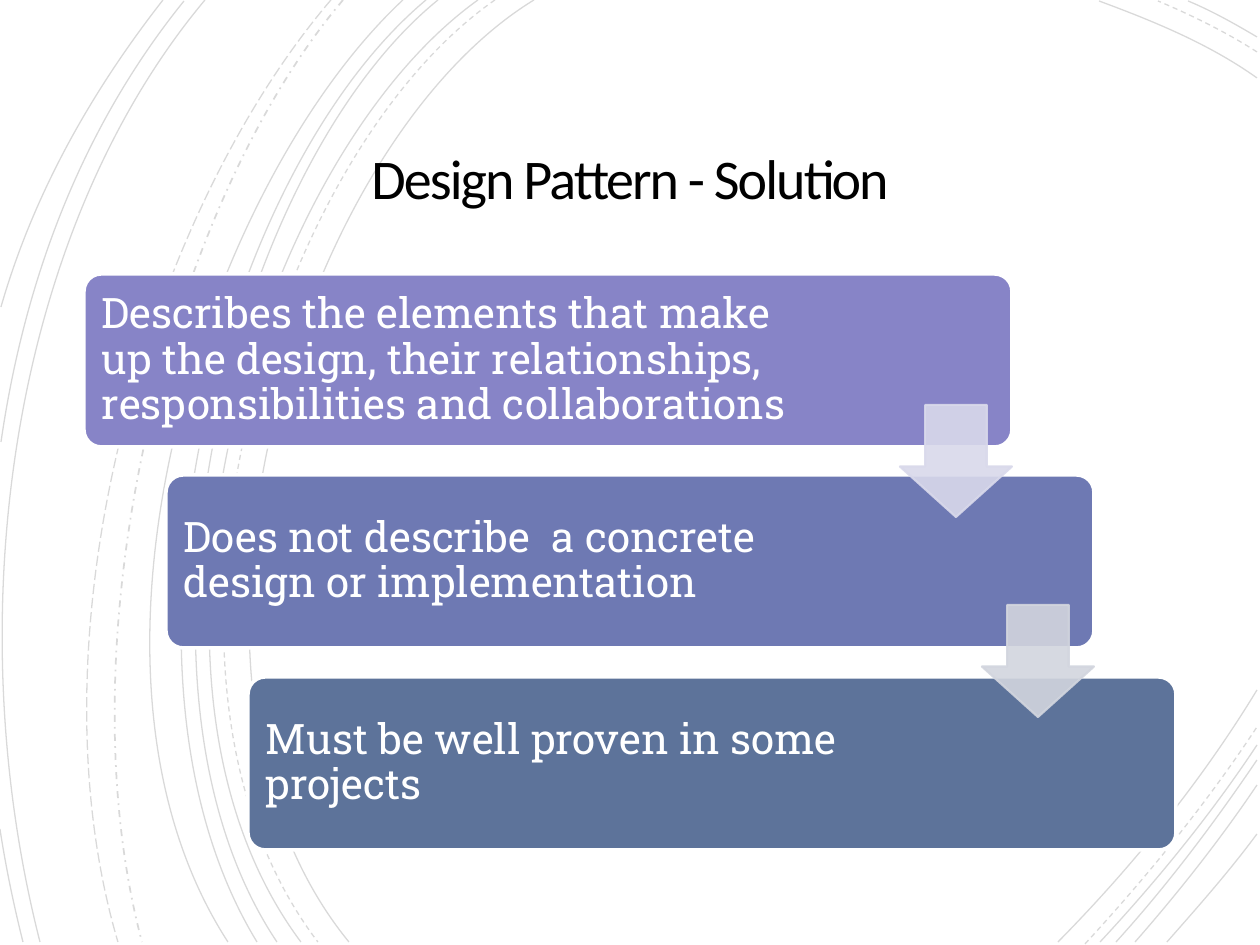
"""Build the "Design Pattern - Solution" slide: a three-step cascade over arcs."""
from lxml.etree import SubElement
from pptx import Presentation
from pptx.dml.color import RGBColor
from pptx.enum.dml import MSO_LINE_DASH_STYLE as Dash
from pptx.enum.shapes import MSO_SHAPE as Shape
from pptx.enum.text import MSO_ANCHOR as Anchor, PP_ALIGN as Align
from pptx.oxml.ns import qn
from pptx.util import Pt

PX = 914400 / 126
PAGE_WIDTH, PAGE_HEIGHT = 1260, 945
BLACK = RGBColor(0x00, 0x00, 0x00)
WHITE = RGBColor(0xFF, 0xFF, 0xFF)
VIOLET = RGBColor(0x87, 0x84, 0xC7)
INDIGO = RGBColor(0x6E, 0x79, 0xB3)
STEEL = RGBColor(0x5D, 0x73, 0x9A)
LILAC = RGBColor(0xD9, 0xD9, 0xEB)
MIST = RGBColor(0xD2, 0xD5, 0xDE)

TITLE = "Design Pattern - Solution"
STEPS = [
    ("Describes the elements that make up the design, their relationships, "
     "responsibilities and collaborations", VIOLET, 743),
    ("Does not describe  a concrete design or implementation", INDIGO, 725),
    ("Must be well proven in some projects", STEEL, 725),
]
ARROW_COLORS = [LILAC, MIST]

STEP_LEFT, STEP_TOP, STEP_WIDTH, STEP_HEIGHT = 84, 274, 928, 173
SHIFT_X, TWO_SHIFTS_Y = 82, 403
TEXT_MARGIN = 5
ARROW_LEFT, ARROW_TOP, ARROW_SIZE, ARROW_SHIFT_Y = 900, 405, 112, 200

ARCS = [
    (Dash.SOLID, 0.75, [(534, 0), (297, 145), (135, 680), (349, 942)]),
    (Dash.SOLID, 0.75, [(1257, 78), (1208, 43), (1150, 20), (1099, 1)]),
    (Dash.SOLID, 0.75, [(1058, 942), (1130, 869), (1200, 784), (1257, 690)]),
    (Dash.DASH, 0.75, [(495, 0), (268, 158), (116, 677), (318, 942)]),
    (Dash.DASH, 0.75, [(1257, 52), (1226, 32), (1191, 15), (1158, 1)]),
    (Dash.DASH, 0.75, [(1085, 944), (1145, 879), (1205, 806), (1257, 727)]),
    (Dash.SOLID, 0.75, [(478, 0), (255, 160), (103, 677), (301, 942)]),
    (Dash.SOLID, 0.75, [(1257, 37), (1235, 24), (1212, 11), (1188, 1)]),
    (Dash.SOLID, 0.75, [(1100, 942), (1155, 883), (1210, 816), (1257, 745)]),
    (Dash.SOLID, 0.75, [(438, 0), (231, 168), (103, 682), (277, 942)]),
    (Dash.SOLID, 0.75, [(1116, 942), (1166, 887), (1213, 825), (1257, 760)]),
    (Dash.SOLID, 0.75, [(426, 0), (218, 174), (92, 672), (257, 942)]),
    (Dash.SOLID, 0.75, [(1135, 942), (1178, 893), (1220, 840), (1257, 785)]),
    (Dash.SOLID, 0.75, [(403, 0), (205, 185), (50, 667), (228, 942)]),
    (Dash.SOLID, 0.75, [(1167, 942), (1197, 908), (1229, 872), (1257, 834)]),
    (Dash.DASH_DOT, 1, [(343, 0), (166, 209), (62, 641), (142, 942)]),
    (Dash.LONG_DASH, 0.75, [(331, 0), (149, 213), (26, 629), (118, 942)]),
    (Dash.SOLID, 0.75, [(205, 0), (10, 233), (-43, 617), (40, 942)]),
    (Dash.SOLID, 0.75, [(184, 1), (87, 121), (26, 270), (1, 442)]),
    (Dash.SOLID, 0.75, [(0, 829), (6, 868), (14, 906), (23, 942)]),
    (Dash.SOLID, 0.75, [(163, 0), (95, 87), (35, 189), (1, 307)]),
]


def emu(*lengths):
    return [round(length * PX) for length in lengths]


def set_alpha(shape, percent):
    for color in shape.element.spPr.iter(qn("a:srgbClr")):
        SubElement(color, qn("a:alpha")).set("val", str(percent * 1000))


def bend(shape):
    lines = list(shape.element.spPr.iter(qn("a:lnTo")))
    curve = SubElement(lines[0].getparent(), qn("a:cubicBezTo"))
    for line in lines:
        curve.append(line[0])
        line.getparent().remove(line)


def add_arc(page, dash, width, points):
    start, *rest = [emu(*point) for point in points]
    builder = page.shapes.build_freeform(*start)
    builder.add_line_segments(rest, close=False)
    arc = builder.convert_to_shape()
    bend(arc)
    arc.shadow.inherit = False
    arc.fill.background()
    arc.line.color.rgb = BLACK
    arc.line.width = Pt(width)
    arc.line.dash_style = dash
    set_alpha(arc, 15)


def add_block(page, kind, place, fill, line=None, width=0, adjustments=()):
    block = page.shapes.add_shape(kind, *emu(*place))
    block.shadow.inherit = False
    block.fill.solid()
    block.fill.fore_color.rgb = fill
    if line is None:
        block.line.fill.background()
    else:
        block.line.color.rgb = line
        block.line.width = Pt(width)
    for index, value in enumerate(adjustments):
        block.adjustments[index] = value
    return block


def add_text(page, text, place, *, font, size, color, inset, leading,
             align=Align.LEFT, tracking=None):
    box = page.shapes.add_textbox(*emu(*place))
    frame = box.text_frame
    frame.word_wrap = True
    frame.vertical_anchor = Anchor.MIDDLE
    (frame.margin_left, frame.margin_top,
     frame.margin_right, frame.margin_bottom) = emu(*[inset] * 4)
    para = frame.paragraphs[0]
    para.alignment = align
    para.line_spacing = leading
    span = para.add_run()
    span.text = text
    span.font.name = font
    span.font.size = Pt(size)
    span.font.color.rgb = color
    if tracking is not None:
        span.font._element.set("spc", str(tracking))


def main():
    deck = Presentation()
    deck.slide_width, deck.slide_height = emu(PAGE_WIDTH, PAGE_HEIGHT)
    page = deck.slides.add_slide(deck.slide_layouts[6])
    add_block(page, Shape.RECTANGLE, (0, 0, PAGE_WIDTH, PAGE_HEIGHT), WHITE)

    for arc in ARCS:
        add_arc(page, *arc)

    add_text(page, TITLE, (182, 110, 896, 145), font="Calibri", size=32, color=BLACK,
             inset=32, leading=0.85, align=Align.CENTER, tracking=-110)

    for index, (text, fill, text_width) in enumerate(STEPS):
        left = STEP_LEFT + index * SHIFT_X
        top = STEP_TOP + index * TWO_SHIFTS_Y // 2
        add_block(page, Shape.ROUNDED_RECTANGLE, (left, top, STEP_WIDTH, STEP_HEIGHT),
                  fill, WHITE, 2, [0.1])
        place = (left + TEXT_MARGIN, top + TEXT_MARGIN,
                 text_width, STEP_HEIGHT - 2 * TEXT_MARGIN)
        add_text(page, text, place, font="Roboto Slab", size=24, color=WHITE,
                 inset=13, leading=0.9)

    for index, color in enumerate(ARROW_COLORS):
        place = (ARROW_LEFT + index * SHIFT_X, ARROW_TOP + index * ARROW_SHIFT_Y,
                 ARROW_SIZE, ARROW_SIZE)
        arrow = add_block(page, Shape.DOWN_ARROW, place, color, color, 1.25, [0.55, 0.45])
        set_alpha(arrow, 90)

    deck.save("out.pptx")


if __name__ == "__main__":
    main()
